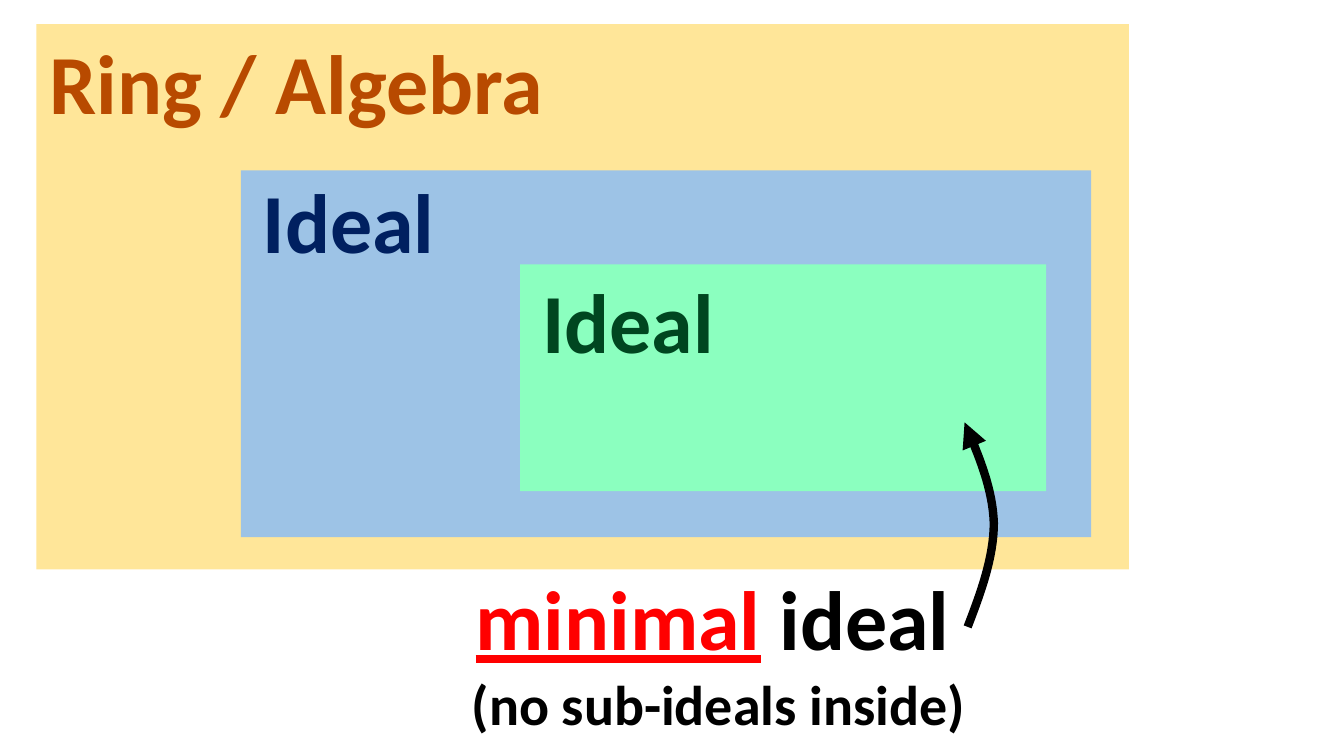
from lxml import etree
from pptx import Presentation
from pptx.dml.color import RGBColor
from pptx.enum import shapes, text
from pptx.oxml import ns
from pptx.util import Pt

HUES = {
    "sand": "FFE699", "rust": "B84A00",
    "sky": "9DC3E6", "navy": "002060",
    "mint": "8BFFBF", "pine": "004620",
    "red": "FF0000", "black": "000000",
}


def hue(name):
    return RGBColor.from_string(HUES[name])


def label(x, y, w, h, size, runs):
    box = slide.shapes.add_textbox(Pt(x), Pt(y), Pt(w), Pt(h))
    frame = box.text_frame
    frame.word_wrap = False
    frame.auto_size = text.MSO_AUTO_SIZE.SHAPE_TO_FIT_TEXT
    para = frame.paragraphs[0]
    for words, color, under in runs:
        run = para.add_run()
        run.text = words
        run.font.color.rgb = hue(color)
        run.font.underline = under
    para.font.name = "Calibri"
    para.font.size = Pt(size)
    para.font.bold = True


prs = Presentation()
prs.slide_width, prs.slide_height = Pt(960), Pt(540)
slide = prs.slides.add_slide(prs.slide_layouts[6])

# Nested sets: rectangle, fill, then name with its place and colour
nest = [
    ((26, 17.3, 780.5, 389.5), "sand", "Ring / Algebra", (28.1, 18, 371.5, 80), "rust"),
    ((172, 121.7, 607.4, 262), "sky", "Ideal", (180.7, 117.4, 139, 80), "navy"),
    ((371.5, 188.9, 375.8, 162), "mint", "Ideal", (380.2, 188.9, 139, 80), "pine"),
]
for area, fill, name, spot, ink in nest:
    rect = slide.shapes.add_shape(shapes.MSO_SHAPE.RECTANGLE, *map(Pt, area))
    rect.shadow.inherit = False
    rect.fill.solid()
    rect.fill.fore_color.rgb = hue(fill)
    rect.line.fill.background()
    label(*spot, 60, [(name, ink, None)])

# Caption below the sets
label(329.8, 474.5, 371.5, 55.4, 40, [("(no sub-ideals inside)", "black", None)])
label(332.6, 401, 356.4, 80, 60, [("minimal", "red", True), (" ideal", "black", False)])

# Curved arrow, traced along two Bezier arcs
arcs = [
    [(691.2, 447.8), (700.6, 423.4), (709.9, 398.2), (709.9, 373.7)],
    [(709.9, 373.7), (709.2, 349.2), (699.1, 325.4), (689, 301.7)],
]
STEPS = 16
trace = []
for arc in arcs:
    for step in range(1, STEPS + 1):
        t = step / STEPS
        parts = ((1 - t) ** 3, 3 * t * (1 - t) ** 2, 3 * t * t * (1 - t), t ** 3)
        trace.append([Pt(sum(k * p[axis] for k, p in zip(parts, arc))) for axis in (0, 1)])

pen = slide.shapes.build_freeform(*map(Pt, arcs[0][0]))
pen.add_line_segments(trace, close=False)
arrow = pen.convert_to_shape()
arrow.shadow.inherit = False
arrow.fill.background()
arrow.line.color.rgb = hue("black")
arrow.line.width = Pt(6)
line = arrow.line._get_or_add_ln()
etree.SubElement(line, ns.qn("a:round"))
etree.SubElement(line, ns.qn("a:tailEnd"), type="triangle")

prs.save("out.pptx")
